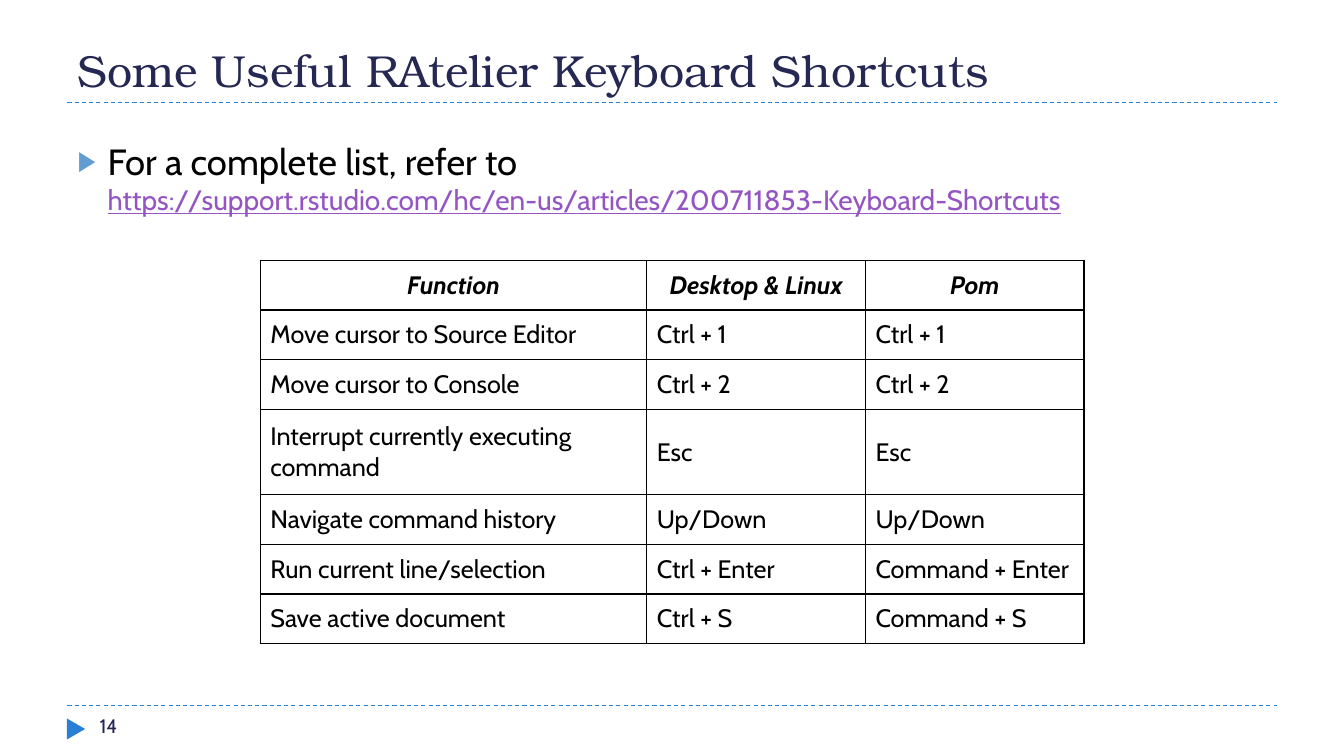
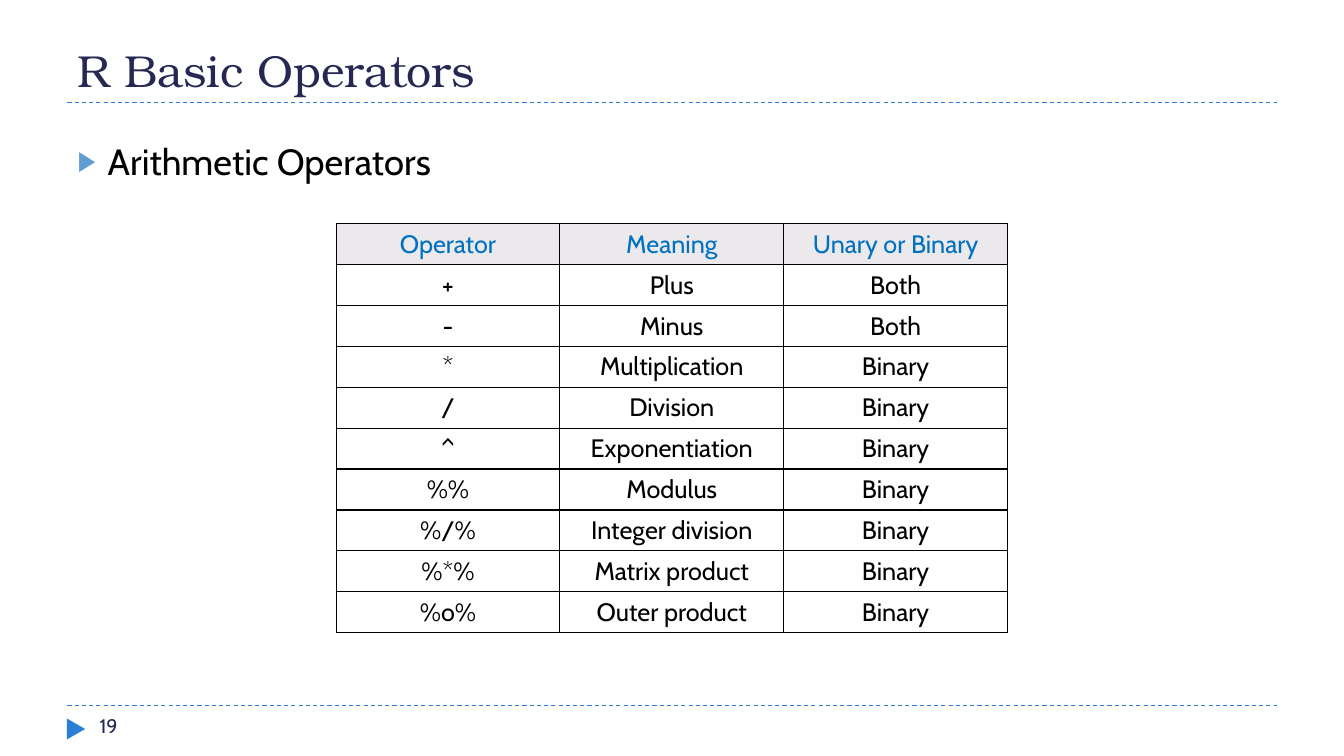
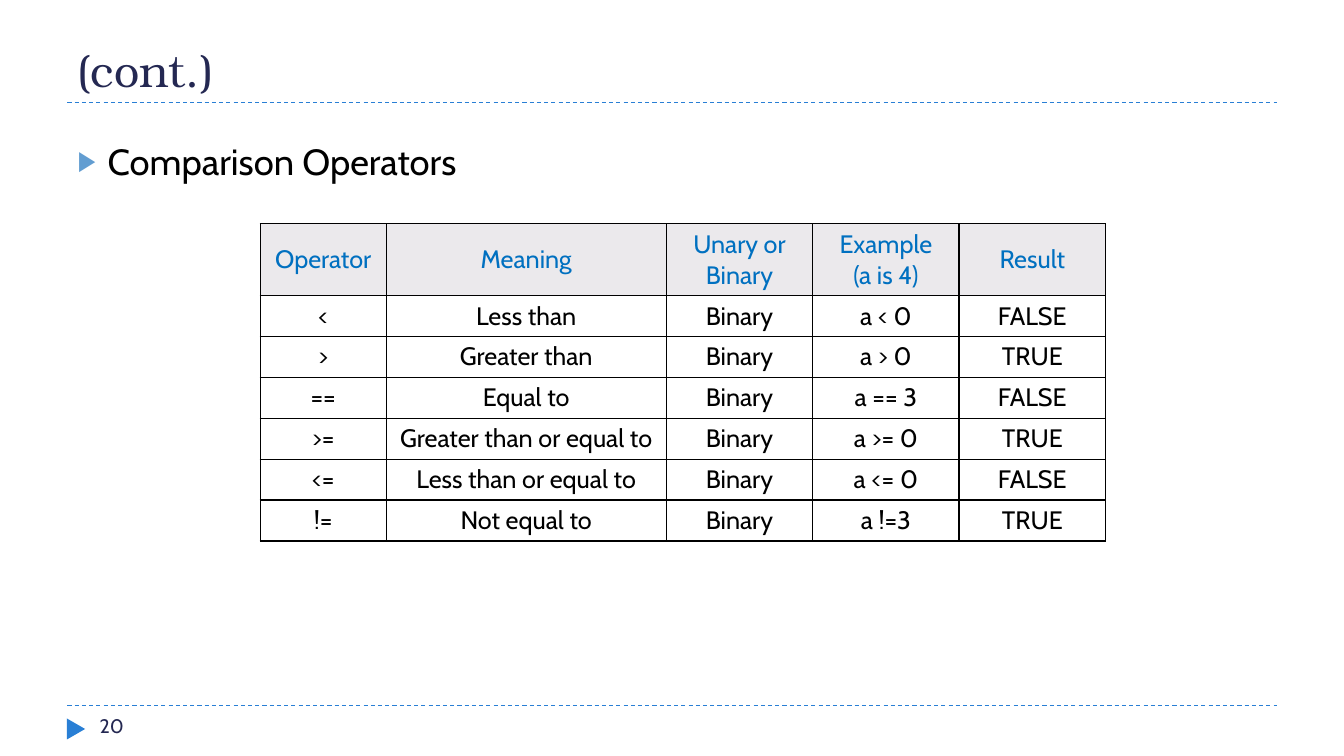
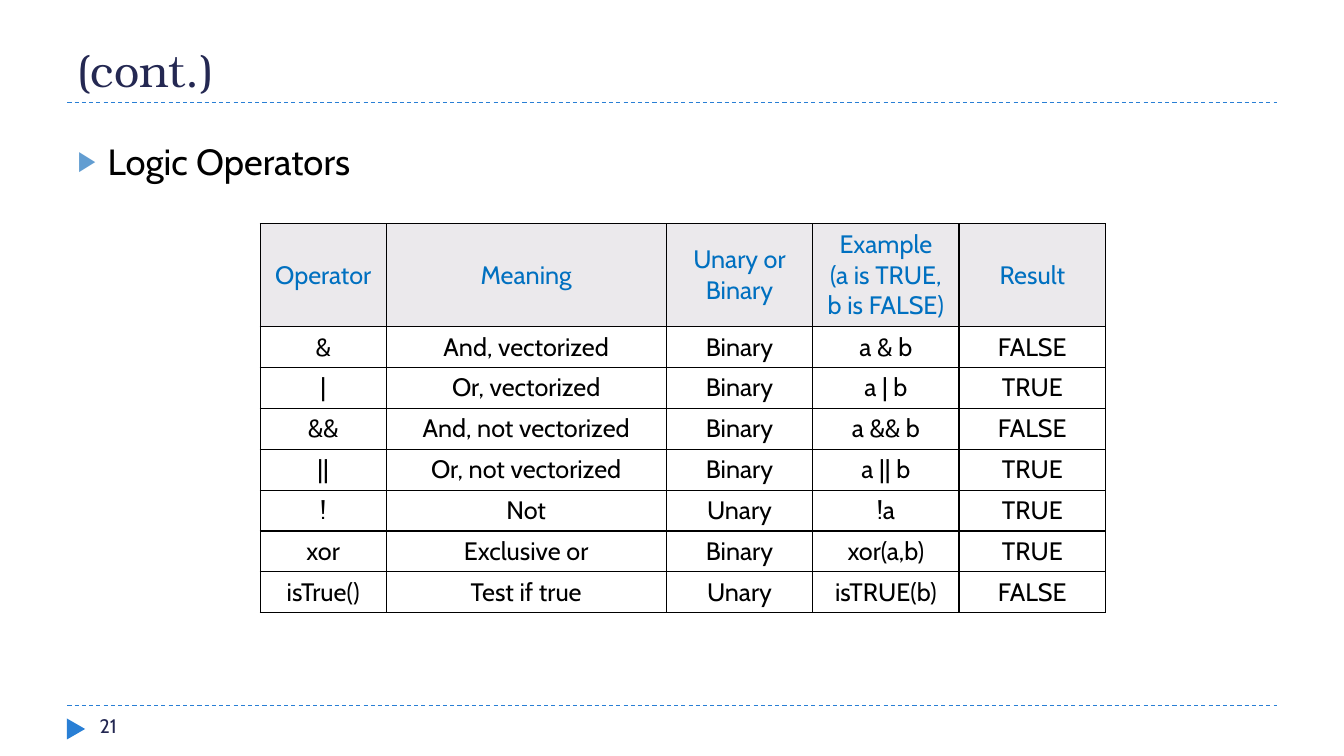
import pptx
import pptx.dml.color
import pptx.enum.dml
import pptx.enum.shapes
import pptx.enum.text
import pptx.oxml.ns
import pptx.util
from lxml import etree

Cm = pptx.util.Cm
Pt = pptx.util.Pt
qn = pptx.oxml.ns.qn
ALIGN = pptx.enum.text.PP_ALIGN
ANCHOR = pptx.enum.text.MSO_ANCHOR

COLORS = {
    "title": "242852",
    "accent": "297FD5",
    "bullet": "629DD1",
    "text": "000000",
    "link": "9454C3",
    "header_text": "0070C0",
    "header_fill": "EBE9EC",
}
TITLE_FONT = "TeX Gyre Bonum"
BODY_FONT = "Cabin"

SLIDE_WIDTH, SLIDE_HEIGHT = 33.87, 19.05
MARGIN, CONTENT_WIDTH = 1.7, 30.48
RULE_TOPS = (17.78, 2.59)
ROW_HEIGHT = 1.03

SHORTCUT_TABLE = {
    "left": 6.56, "top": 6.56, "columns": (9.74, 5.51, 5.51),
    "row_height": 1.25, "tall_rows": {3: 2.16}, "plain": True,
    "rows": [
        ("Function", "Desktop & Linux", "Pom"),
        ("Move cursor to Source Editor", "Ctrl + 1", "Ctrl + 1"),
        ("Move cursor to Console", "Ctrl + 2", "Ctrl + 2"),
        ("Interrupt currently executing command", "Esc", "Esc"),
        ("Navigate command history", "Up/Down", "Up/Down"),
        ("Run current line/selection", "Ctrl + Enter", "Command + Enter"),
        ("Save active document", "Ctrl + S", "Command + S"),
    ],
}
ARITHMETIC_TABLE = {
    "left": 8.47, "top": 5.64, "columns": (5.64,) * 3,
    "row_height": ROW_HEIGHT, "tall_rows": {}, "plain": False,
    "rows": [
        ("Operator", "Meaning", "Unary or Binary"),
        ("+", "Plus", "Both"),
        ("-", "Minus", "Both"),
        ("*", "Multiplication", "Binary"),
        ("/", "Division", "Binary"),
        ("^", "Exponentiation", "Binary"),
        ("%%", "Modulus", "Binary"),
        ("%/%", "Integer division", "Binary"),
        ("%*%", "Matrix product", "Binary"),
        ("%o%", "Outer product", "Binary"),
    ],
}
EXAMPLE_LAYOUT = {
    "left": 6.56, "top": 5.64, "columns": (3.17, 7.06, 3.69, 3.69, 3.69),
    "row_height": ROW_HEIGHT, "plain": False,
}
COMPARISON_TABLE = {
    **EXAMPLE_LAYOUT, "tall_rows": {0: 1.81},
    "rows": [
        ("Operator", "Meaning", "Unary or Binary", "Example\n(a is 4)", "Result"),
        ("<", "Less than", "Binary", "a < 0", "FALSE"),
        (">", "Greater than", "Binary", "a > 0", "TRUE"),
        ("==", "Equal to", "Binary", "a == 3", "FALSE"),
        (">=", "Greater than or equal to", "Binary", "a >= 0", "TRUE"),
        ("<=", "Less than or equal to", "Binary", "a <= 0", "FALSE"),
        ("!=", "Not equal to", "Binary", "a !=3", "TRUE"),
    ],
}
LOGIC_TABLE = {
    **EXAMPLE_LAYOUT, "tall_rows": {0: 2.59},
    "rows": [
        ("Operator", "Meaning", "Unary or Binary", "Example\n(a is TRUE, b is FALSE)", "Result"),
        ("&", "And, vectorized", "Binary", "a & b", "FALSE"),
        ("|", "Or, vectorized", "Binary", "a | b", "TRUE"),
        ("&&", "And, not vectorized", "Binary", "a && b", "FALSE"),
        ("||", "Or, not vectorized", "Binary", "a || b", "TRUE"),
        ("!", "Not", "Unary", "!a", "TRUE"),
        ("xor", "Exclusive or", "Binary", "xor(a,b)", "TRUE"),
        ("isTrue()", "Test if true", "Unary", "isTRUE(b)", "FALSE"),
    ],
}
SHORTCUT_LINK = "https://support.rstudio.com/hc/en-us/articles/200711853-Keyboard-Shortcuts"
SLIDES = [
    (14, "Some Useful RAtelier Keyboard Shortcuts",
     "For a complete list, refer to\v" + SHORTCUT_LINK, SHORTCUT_TABLE),
    (19, "R Basic Operators", "Arithmetic Operators", ARITHMETIC_TABLE),
    (20, "(cont.)", "Comparison Operators", COMPARISON_TABLE),
    (21, "(cont.)", "Logic Operators", LOGIC_TABLE),
]


def rgb(name):
    return pptx.dml.color.RGBColor.from_string(COLORS[name])


def format_runs(paragraph, size, color, font=BODY_FONT, bold=False, italic=False):
    for run in paragraph.runs:
        run.font.name = font
        run.font.size = Pt(size)
        run.font.color.rgb = rgb(color)
        run.font.bold = bold
        run.font.italic = italic


def place(shape, left, top, width, height):
    shape.left, shape.top = Cm(left), Cm(top)
    shape.width, shape.height = Cm(width), Cm(height)


def add_solid_fill(parent, color):
    fill = etree.SubElement(parent, qn("a:solidFill"))
    etree.SubElement(fill, qn("a:srgbClr"), val=COLORS[color])


def prepare_layout(layout, slide):
    for placeholder in list(layout.placeholders):
        if placeholder.placeholder_format.idx >= 10:
            placeholder.element.getparent().remove(placeholder.element)
    place(layout.placeholders[0], MARGIN, 0.43, CONTENT_WIDTH, 2.13)
    decorations = []
    for top in RULE_TOPS:
        rule = slide.shapes.add_connector(
            pptx.enum.shapes.MSO_CONNECTOR.STRAIGHT,
            Cm(MARGIN), Cm(top), Cm(MARGIN + CONTENT_WIDTH), Cm(top))
        rule.line.color.rgb = rgb("accent")
        rule.line.width = Pt(0.75)
        rule.line.dash_style = pptx.enum.dml.MSO_LINE.DASH
        etree.SubElement(rule.element.spPr, qn("a:effectLst"))
        decorations.append(rule)
    marker = slide.shapes.add_shape(
        pptx.enum.shapes.MSO_SHAPE.ISOSCELES_TRIANGLE,
        Cm(1.65), Cm(18.14), Cm(0.53), Cm(0.46))
    marker.rotation = 90
    marker.shadow.inherit = False
    marker.fill.solid()
    marker.fill.fore_color.rgb = rgb("accent")
    marker.line.fill.background()
    decorations.append(marker)
    for shape in decorations:
        layout.shapes.element.append(shape.element)


def set_title(slide, text):
    text_frame = slide.shapes.title.text_frame
    text_frame.text = text
    text_frame.auto_size = pptx.enum.text.MSO_AUTO_SIZE.NONE
    text_frame.vertical_anchor = ANCHOR.BOTTOM
    paragraph = text_frame.paragraphs[0]
    paragraph.alignment = ALIGN.LEFT
    format_runs(paragraph, 32, "title", TITLE_FONT)


def set_body(slide, text):
    body = slide.placeholders[1]
    place(body, MARGIN, 3.38, 26.67, 2.34 if "\v" in text else 1.47)
    body.text_frame.text = text
    body.text_frame.auto_size = pptx.enum.text.MSO_AUTO_SIZE.NONE
    paragraph = body.text_frame.paragraphs[0]
    paragraph.space_before = Pt(0)
    properties = paragraph._p.get_or_add_pPr()
    properties.set("marL", str(Cm(0.76)))
    properties.set("indent", str(-Cm(0.76)))
    bullet_color = etree.SubElement(properties, qn("a:buClr"))
    etree.SubElement(bullet_color, qn("a:srgbClr"), val=COLORS["bullet"])
    etree.SubElement(properties, qn("a:buSzPct"), val="76000")
    etree.SubElement(properties, qn("a:buChar"), char="▶")
    format_runs(paragraph, 26, "text")
    for run in paragraph.runs[1:]:
        run.font.size = Pt(20)
        run.font.color.rgb = rgb("link")
        run.font.underline = True


def add_number(slide, number):
    box = slide.shapes.add_textbox(Cm(2.26), Cm(17.86), Cm(7.34), Cm(0.81))
    box.text_frame.word_wrap = True
    box.text_frame.text = str(number)
    format_runs(box.text_frame.paragraphs[0], 14, "title")


def add_borders(cell):
    properties = cell._tc.get_or_add_tcPr()
    for side in ("lnL", "lnR", "lnT", "lnB"):
        border = etree.SubElement(properties, qn("a:" + side), w=str(Pt(1)))
        add_solid_fill(border, "text")


def format_cell(cell, text, is_header, plain):
    cell.text_frame.text = text
    cell.vertical_anchor = ANCHOR.MIDDLE
    add_borders(cell)
    if is_header and not plain:
        cell.fill.solid()
        cell.fill.fore_color.rgb = rgb("header_fill")
    else:
        cell.fill.background()
    emphasis = is_header and plain
    color = "header_text" if is_header and not plain else "text"
    for paragraph in cell.text_frame.paragraphs:
        paragraph.alignment = ALIGN.CENTER if is_header or not plain else ALIGN.LEFT
        format_runs(paragraph, 18, color, bold=emphasis, italic=emphasis)


def add_grid(slide, data):
    rows, columns = data["rows"], data["columns"]
    heights = [data["tall_rows"].get(index, data["row_height"]) for index in range(len(rows))]
    table = slide.shapes.add_table(
        len(rows), len(columns), Cm(data["left"]), Cm(data["top"]),
        Cm(sum(columns)), Cm(sum(heights))).table
    table.first_row = False
    table.horz_banding = False
    for column, width in zip(table.columns, columns):
        column.width = Cm(width)
    for row_index, (row, height, texts) in enumerate(zip(table.rows, heights, rows)):
        row.height = Cm(height)
        for cell, text in zip(row.cells, texts):
            format_cell(cell, text, row_index == 0, data["plain"])


def main():
    presentation = pptx.Presentation()
    presentation.slide_width = Cm(SLIDE_WIDTH)
    presentation.slide_height = Cm(SLIDE_HEIGHT)
    layout = presentation.slide_layouts[1]
    for index, (number, title, body, table) in enumerate(SLIDES):
        slide = presentation.slides.add_slide(layout)
        if index == 0:
            prepare_layout(layout, slide)
        set_title(slide, title)
        set_body(slide, body)
        add_number(slide, number)
        add_grid(slide, table)
    presentation.save("out.pptx")


if __name__ == "__main__":
    main()
